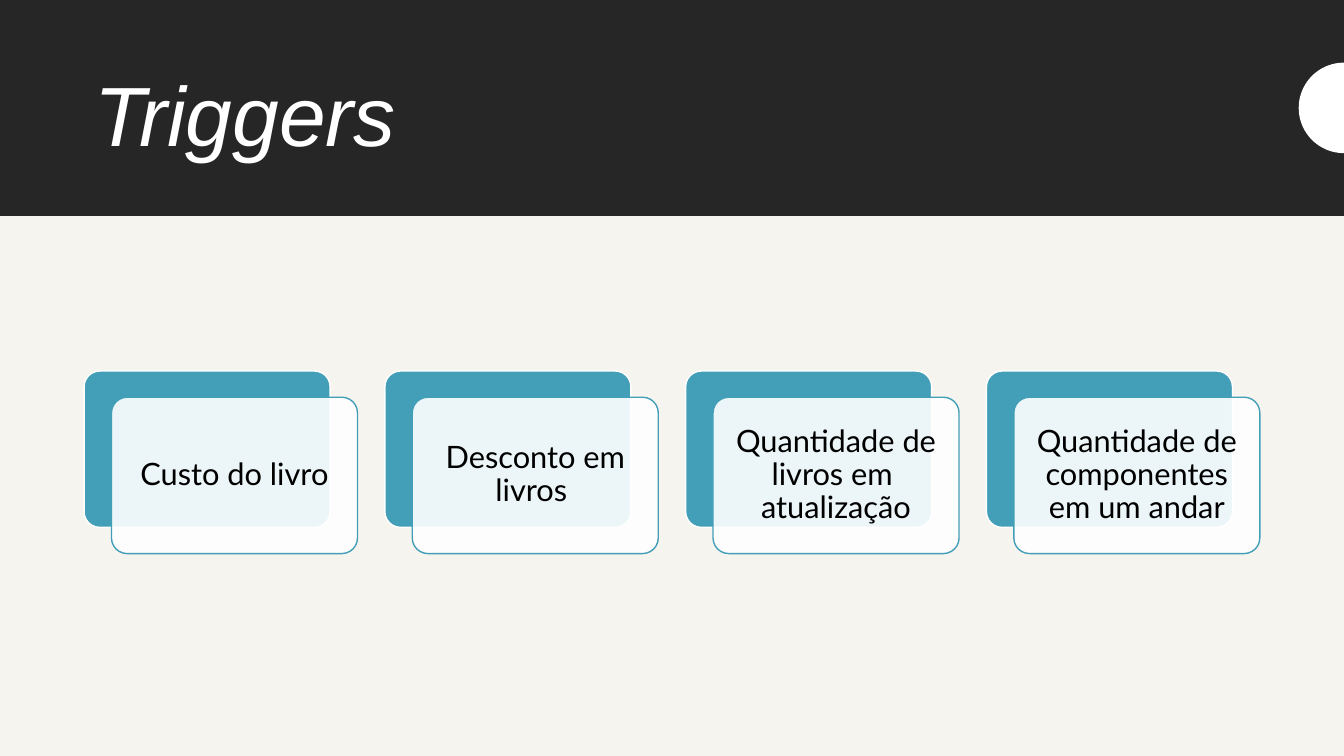
from math import cos, pi, sin

from lxml import etree
from pptx import Presentation
from pptx.dml.color import RGBColor
from pptx.enum.shapes import MSO_SHAPE
from pptx.enum.text import MSO_ANCHOR, MSO_AUTO_SIZE, PP_ALIGN
from pptx.oxml.ns import qn
from pptx.util import Cm, Pt

RECT, ROUNDED = MSO_SHAPE.RECTANGLE, MSO_SHAPE.ROUNDED_RECTANGLE
LEFT, CENTER = PP_ALIGN.LEFT, PP_ALIGN.CENTER
MIDDLE, NO_FIT = MSO_ANCHOR.MIDDLE, MSO_AUTO_SIZE.NONE

SLIDE_W, SLIDE_H = 33.87, 19.05
CREAM, DARK, TEAL, WHITE, BLACK = "F6F4EF", "262626", "439EB7", "FFFFFF", "000000"

# Cards: size, first position, pitch and shift of the front card
CARD_W, CARD_H = 6.2, 3.94
CARD_X, CARD_Y, CARD_PITCH = 2.12, 9.35, 7.58
SHIFT_X, SHIFT_Y = 0.69, 0.66
TRIGGERS = [
    "Custo do livro",
    "Desconto em livros ",
    "Quantidade de livros em  atualização",
    "Quantidade de componentes em um andar",
]


def rgb(color):
    return RGBColor.from_string(color)


def style(sp, fill, line=None):
    sp.shadow.inherit = False
    sp.fill.solid()
    sp.fill.fore_color.rgb = rgb(fill)
    if line:
        sp.line.color.rgb = rgb(line)
        sp.line.width = Pt(1)
    else:
        sp.line.fill.background()


def add_box(slide, kind, x, y, w, h, fill, line=None):
    sp = slide.shapes.add_shape(kind, Cm(x), Cm(y), Cm(w), Cm(h))
    style(sp, fill, line)
    return sp


def set_alpha(sp, percent):
    clr = sp.fill._xPr.find(qn("a:solidFill"))[0]
    etree.SubElement(clr, qn("a:alpha")).set("val", str(percent * 1000))


def set_text(sp, text, size, font, color, align=LEFT, italic=False, inset=(0.25, 0.13)):
    tf = sp.text_frame
    tf.word_wrap = True
    tf.auto_size = NO_FIT
    tf.vertical_anchor = MIDDLE
    tf.margin_left = tf.margin_right = Cm(inset[0])
    tf.margin_top = tf.margin_bottom = Cm(inset[1])
    p = tf.paragraphs[0]
    p.alignment = align
    p.line_spacing = 0.9
    r = p.add_run()
    r.text = text
    r.font.size = Pt(size)
    r.font.name = font
    r.font.italic = italic
    r.font.color.rgb = rgb(color)


def add_half_circle(slide, cx, cy, radius, fill, steps=48):
    angles = [pi / 2 + pi * i / steps for i in range(steps + 1)]
    points = [(Cm(cx + radius * cos(a)), Cm(cy - radius * sin(a))) for a in angles]
    builder = slide.shapes.build_freeform(*points[0])
    builder.add_line_segments(points[1:], close=True)
    style(builder.convert_to_shape(), fill)


def add_card(slide, x, y, text):
    back = add_box(slide, ROUNDED, x, y, CARD_W, CARD_H, TEAL, WHITE)
    front = add_box(slide, ROUNDED, x + SHIFT_X, y + SHIFT_Y, CARD_W, CARD_H, WHITE, TEAL)
    back.adjustments[0] = front.adjustments[0] = 0.1
    set_alpha(front, 90)
    set_text(front, text, 22, "Lato", BLACK, align=CENTER, inset=(0.34, 0.34))


def main():
    prs = Presentation()
    prs.slide_width, prs.slide_height = Cm(SLIDE_W), Cm(SLIDE_H)
    slide = prs.slides.add_slide(prs.slide_layouts[5])
    slide.background.fill.solid()
    slide.background.fill.fore_color.rgb = rgb(CREAM)

    # Header band, with the title brought in front of it
    add_box(slide, RECT, 0, 0, SLIDE_W, 5.44, DARK)
    title = slide.shapes.title
    title.left, title.top, title.width, title.height = Cm(2.12), Cm(1.17), Cm(29.63), Cm(3.68)
    set_text(title, "Triggers", 60, "Arial", WHITE, italic=True)
    slide.shapes._spTree.append(title._element)
    add_half_circle(slide, SLIDE_W, 2.72, 1.14, WHITE)

    # Row of trigger cards
    for i, text in enumerate(TRIGGERS):
        add_card(slide, CARD_X + i * CARD_PITCH, CARD_Y, text)

    prs.save("out.pptx")


if __name__ == "__main__":
    main()
